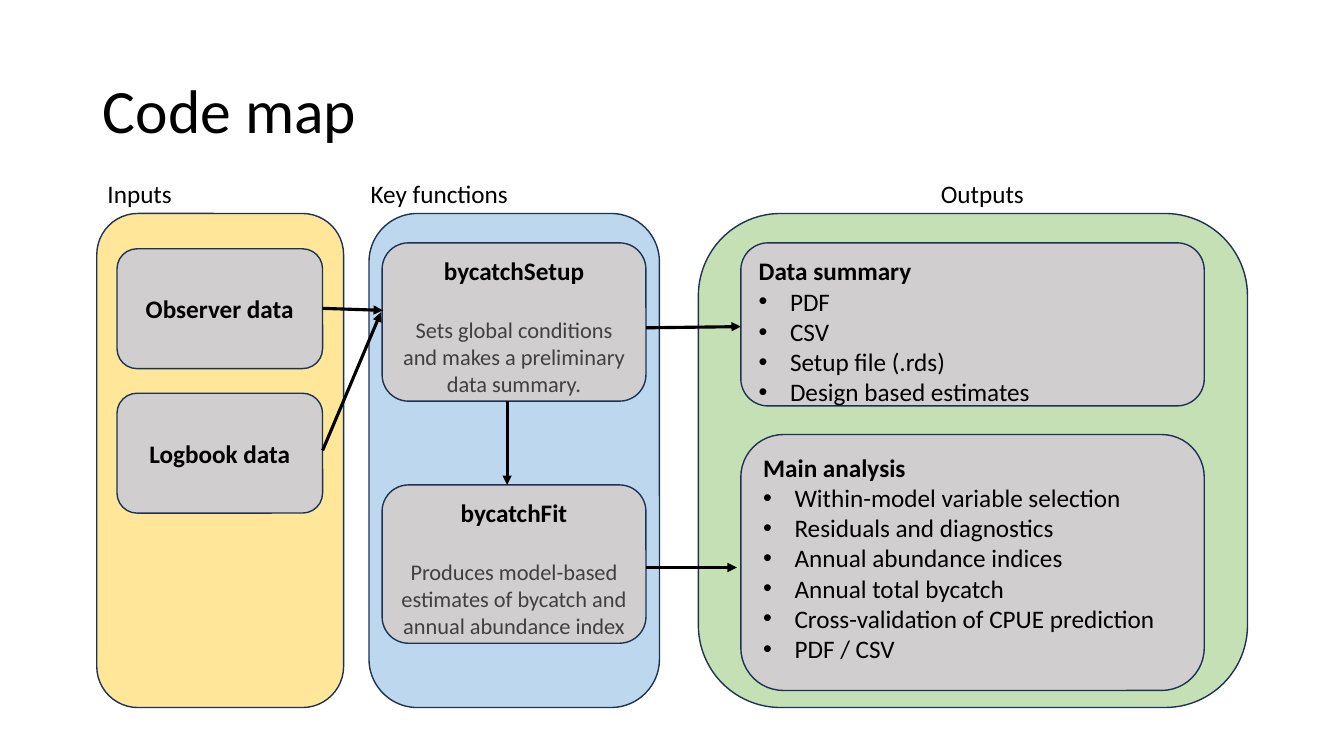
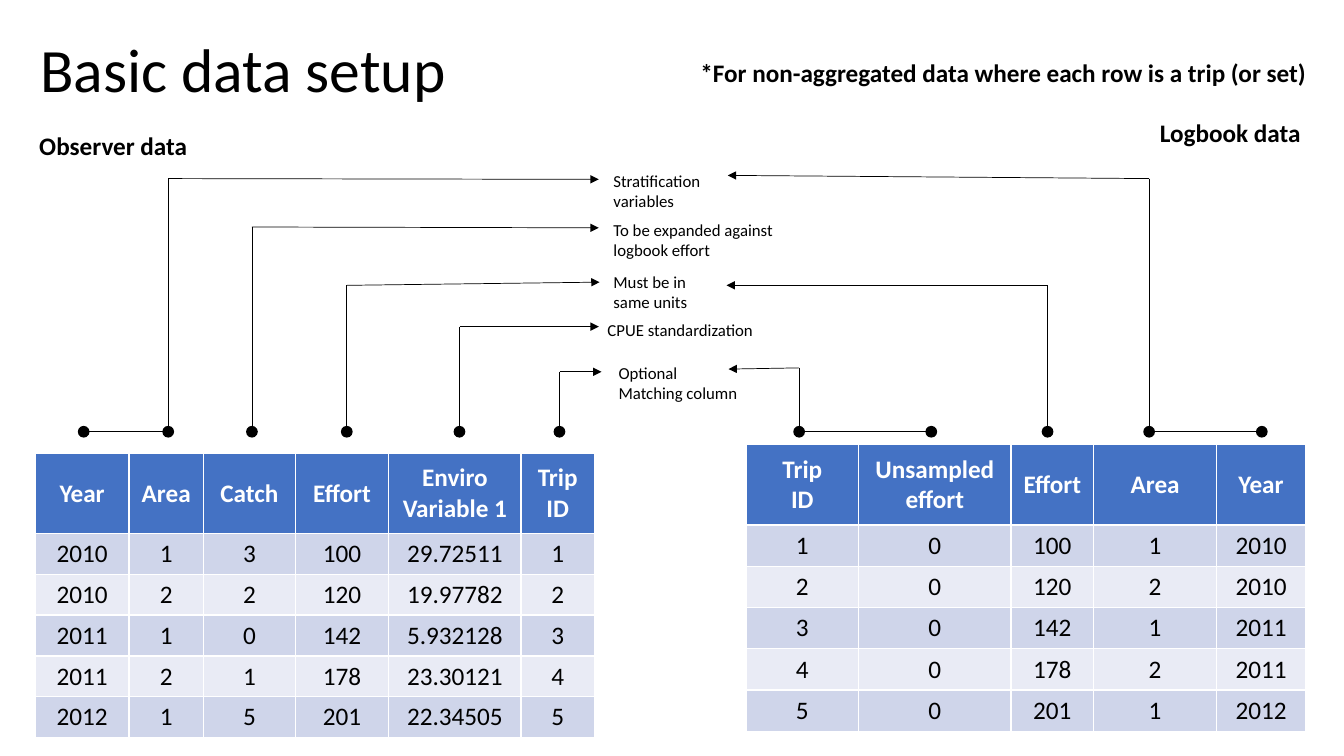
import lxml.etree
import pptx
import pptx.dml.color
import pptx.enum.shapes
import pptx.enum.text
import pptx.oxml.ns
import pptx.util

Cm = pptx.util.Cm
Pt = pptx.util.Pt
RGBColor = pptx.dml.color.RGBColor
qn = pptx.oxml.ns.qn
Shape = pptx.enum.shapes.MSO_SHAPE
Align = pptx.enum.text.PP_ALIGN
Anchor = pptx.enum.text.MSO_ANCHOR

FONT = "Calibri"
BLACK = RGBColor(0x00, 0x00, 0x00)
WHITE = RGBColor(0xFF, 0xFF, 0xFF)
DARK_GREY = RGBColor(0x40, 0x40, 0x40)
BOX_GREY = RGBColor(0xD0, 0xCE, 0xCE)
OUTLINE = RGBColor(0x1E, 0x32, 0x56)
YELLOW = RGBColor(0xFF, 0xE6, 0x99)
LIGHT_BLUE = RGBColor(0xBD, 0xD7, 0xEE)
GREEN = RGBColor(0xC5, 0xE0, 0xB4)
HEADER_BLUE = RGBColor(0x44, 0x72, 0xC4)
BAND_DARK = RGBColor(0xCF, 0xD5, 0xEA)
BAND_LIGHT = RGBColor(0xE9, 0xEB, 0xF5)


def write(frame, lines, size=18, bold=False, colour=BLACK, align=Align.LEFT):
    """Append one paragraph per line and return the new paragraphs."""
    added = []
    for line in lines:
        paragraph = frame.paragraphs[-1]
        if paragraph.runs:
            paragraph = frame.add_paragraph()
        paragraph.alignment = align
        run = paragraph.add_run()
        run.text = line
        run.font.name = FONT
        run.font.size = Pt(size)
        run.font.bold = bold
        run.font.color.rgb = colour
        added.append(paragraph)
    return added


def draw_path(slide, points, width, arrow=True):
    """Join the points with straight lines, the last one ending in an arrowhead."""
    for index in range(len(points) - 1):
        start, end = points[index], points[index + 1]
        connector = slide.shapes.add_connector(
            pptx.enum.shapes.MSO_CONNECTOR.STRAIGHT,
            Cm(start[0]), Cm(start[1]), Cm(end[0]), Cm(end[1]))
        connector.line.color.rgb = BLACK
        connector.line.width = Pt(width)
        properties = connector._element.spPr
        if arrow and index == len(points) - 2:
            line = properties.find(qn("a:ln"))
            lxml.etree.SubElement(line, qn("a:tailEnd"), type="triangle")
        lxml.etree.SubElement(properties, qn("a:effectLst"))


presentation = pptx.Presentation()
presentation.slide_width = Cm(33.87)
presentation.slide_height = Cm(19.05)
title_only = presentation.slide_layouts[5]

slides = []
for text, left, top in [("Code map", 2.34, 1.02), ("Basic data setup", 0.76, 0)]:
    slide = presentation.slides.add_slide(title_only)
    title = slide.shapes.title
    title.left, title.top = Cm(left), Cm(top)
    title.width, title.height = Cm(29.21), Cm(3.68)
    title.text_frame.vertical_anchor = Anchor.MIDDLE
    write(title.text_frame, [text], size=44)[0].line_spacing = 0.9
    slides.append(slide)
map_slide, data_slide = slides

# Code map: coloured panels, then the boxes on them
panels = [
    (2.44, 5.38, 6.22, 12.45, YELLOW),
    (9.3, 5.38, 7.32, 12.45, LIGHT_BLUE),
    (17.6, 5.38, 13.84, 12.45, GREEN),
]
# left, top, width, height, heading, description, bullets
boxes = [
    (2.95, 6.27, 5.18, 3.02, "Observer data", "", []),
    (2.95, 9.91, 5.18, 3.02, "Logbook data", "", []),
    (9.63, 6.12, 6.65, 3.99, "bycatchSetup",
     "Sets global conditions and makes a preliminary data summary.", []),
    (9.63, 12.22, 6.65, 3.99, "bycatchFit",
     "Produces model-based estimates of bycatch and annual abundance index", []),
    (18.67, 6.12, 11.68, 4.11, "Data summary", "",
     ["PDF", "CSV", "Setup file (.rds)", "Design based estimates"]),
    (18.67, 10.95, 11.68, 6.45, "Main analysis", "",
     ["Within-model variable selection", "Residuals and diagnostics",
      "Annual abundance indices", "Annual total bycatch",
      "Cross-validation of CPUE prediction", "PDF / CSV"]),
]
rectangles = []
for left, top, width, height, colour in panels + [box[:4] + (BOX_GREY,) for box in boxes]:
    shape = map_slide.shapes.add_shape(
        Shape.ROUNDED_RECTANGLE, Cm(left), Cm(top), Cm(width), Cm(height))
    shape.shadow.inherit = False
    shape.fill.solid()
    shape.fill.fore_color.rgb = colour
    shape.line.color.rgb = OUTLINE
    shape.line.width = Pt(1)
    rectangles.append(shape)

for shape, box in zip(rectangles[len(panels):], boxes):
    heading, description, bullets = box[4:]
    frame = shape.text_frame
    frame.word_wrap = True
    frame.vertical_anchor = Anchor.TOP if description or bullets else Anchor.MIDDLE
    write(frame, [heading], bold=True, align=Align.LEFT if bullets else Align.CENTER)
    if description:
        paragraph = write(frame, [description], 16, colour=DARK_GREY, align=Align.CENTER)[0]
        paragraph.space_before = Pt(22)
    for paragraph in write(frame, bullets):
        properties = paragraph._p.get_or_add_pPr()
        properties.set("marL", str(Cm(0.79)))
        properties.set("indent", str(-Cm(0.79)))
        lxml.etree.SubElement(properties, qn("a:buFont"), typeface="Arial")
        lxml.etree.SubElement(properties, qn("a:buChar"), char="•")

for points in [
    [(8.13, 7.77), (9.65, 7.82)],
    [(8.13, 11.35), (9.6, 7.87)],
    [(16.28, 8.26), (18.67, 8.23)],
    [(12.78, 10.11), (12.78, 12.22)],
    [(16.28, 14.3), (18.57, 14.3)],
]:
    draw_path(map_slide, points, 2.25)

# Basic data setup: left, top, header height, row height, column widths, rows
tables = [
    (0.89, 11.43, 2.01, 1.03, [2.36, 1.88, 2.31, 2.36, 3.33, 1.85], [
        ["Year", "Area", "Catch", "Effort", "Enviro\nVariable 1", "Trip ID"],
        ["2010", "1", "3", "100", "29.72511", "1"],
        ["2010", "2", "2", "120", "19.97782", "2"],
        ["2011", "1", "0", "142", "5.932128", "3"],
        ["2011", "2", "1", "178", "23.30121", "4"],
        ["2012", "1", "5", "201", "22.34505", "5"],
    ]),
    (18.8, 11.2, 2.03, 1.04, [2.84, 3.84, 2.08, 3.1, 2.24], [
        ["Trip\nID", "Unsampled effort", "Effort", "Area", "Year"],
        ["1", "0", "100", "1", "2010"],
        ["2", "0", "120", "2", "2010"],
        ["3", "0", "142", "1", "2011"],
        ["4", "0", "178", "2", "2011"],
        ["5", "0", "201", "1", "2012"],
    ]),
]
for left, top, header_height, row_height, widths, rows in tables:
    heights = [header_height] + [row_height] * (len(rows) - 1)
    table = data_slide.shapes.add_table(
        len(rows), len(widths), Cm(left), Cm(top), Cm(sum(widths)), Cm(sum(heights))).table
    for column, width in zip(table.columns, widths):
        column.width = Cm(width)
    for row_index, values in enumerate(rows):
        table.rows[row_index].height = Cm(heights[row_index])
        is_header = row_index == 0
        band = BAND_DARK if row_index % 2 else BAND_LIGHT
        for column_index, value in enumerate(values):
            cell = table.cell(row_index, column_index)
            cell.vertical_anchor = Anchor.MIDDLE
            cell.fill.solid()
            cell.fill.fore_color.rgb = HEADER_BLUE if is_header else band
            write(cell.text_frame, value.split("\n"), bold=is_header,
                  colour=WHITE if is_header else BLACK, align=Align.CENTER)

# Lines from the table columns to the notes between them
DOT_Y = 10.88
DOT_SIZE = 0.26
for column_x, level, tip_x, tip_y in [
    (4.24, 4.5, 15.09, 4.52),
    (6.35, 5.72, 15.09, 5.74),
    (8.74, 7.19, 15.11, 7.11),
    (11.58, 8.23, 15.09, 8.23),
    (14.1, 9.37, 15.16, 9.37),
    (20.14, 9.27, 18.36, 9.3),
    (26.4, 7.19, 18.31, 7.19),
    (28.96, 4.5, 18.34, 4.42),
]:
    draw_path(data_slide, [(column_x, DOT_Y), (column_x, level), (tip_x, tip_y)], 0.5)
for first_x, second_x in [(2.11, 4.24), (20.14, 23.47), (28.96, 31.8)]:
    draw_path(data_slide, [(first_x, DOT_Y), (second_x, DOT_Y)], 0.5, arrow=False)
for column_x in [2.11, 4.24, 6.35, 8.74, 11.58, 14.1, 20.14, 23.47, 26.4, 28.96, 31.8]:
    dot = data_slide.shapes.add_shape(
        Shape.OVAL, Cm(column_x - DOT_SIZE / 2), Cm(DOT_Y - DOT_SIZE / 2),
        Cm(DOT_SIZE), Cm(DOT_SIZE))
    dot.shadow.inherit = False
    dot.fill.solid()
    dot.fill.fore_color.rgb = BLACK
    dot.line.color.rgb = BLACK
    dot.line.width = Pt(1)

# Free-standing labels: slide, left, top, width, lines, size, bold
for slide, left, top, width, lines, size, bold in [
    (map_slide, 2.46, 4.37, 6.3, ["Inputs"], 18, False),
    (map_slide, 9.09, 4.37, 6.3, ["Key functions"], 18, False),
    (map_slide, 23.46, 4.37, 6.3, ["Outputs"], 18, False),
    (data_slide, 0.74, 3.15, 6.3, ["Observer data"], 18, True),
    (data_slide, 28.98, 2.84, 4.8, ["Logbook data"], 18, True),
    (data_slide, 17.4, 1.32, 16.4,
     ["*For non-aggregated data where each row is a trip (or set)"], 18, True),
    (data_slide, 15.21, 4.17, 3.91, ["Stratification variables"], 12, False),
    (data_slide, 15.21, 5.41, 5.13, ["To be expanded against logbook effort"], 12, False),
    (data_slide, 15.21, 6.73, 3.12, ["Must be in same units"], 12, False),
    (data_slide, 15.06, 7.92, 5.44, ["CPUE standardization"], 12, False),
    (data_slide, 15.34, 9.02, 3.58, ["Optional", "Matching column"], 12, False),
]:
    label = slide.shapes.add_textbox(Cm(left), Cm(top), Cm(width), Cm(1.02))
    label.text_frame.word_wrap = True
    write(label.text_frame, lines, size, bold)

presentation.save("out.pptx")
